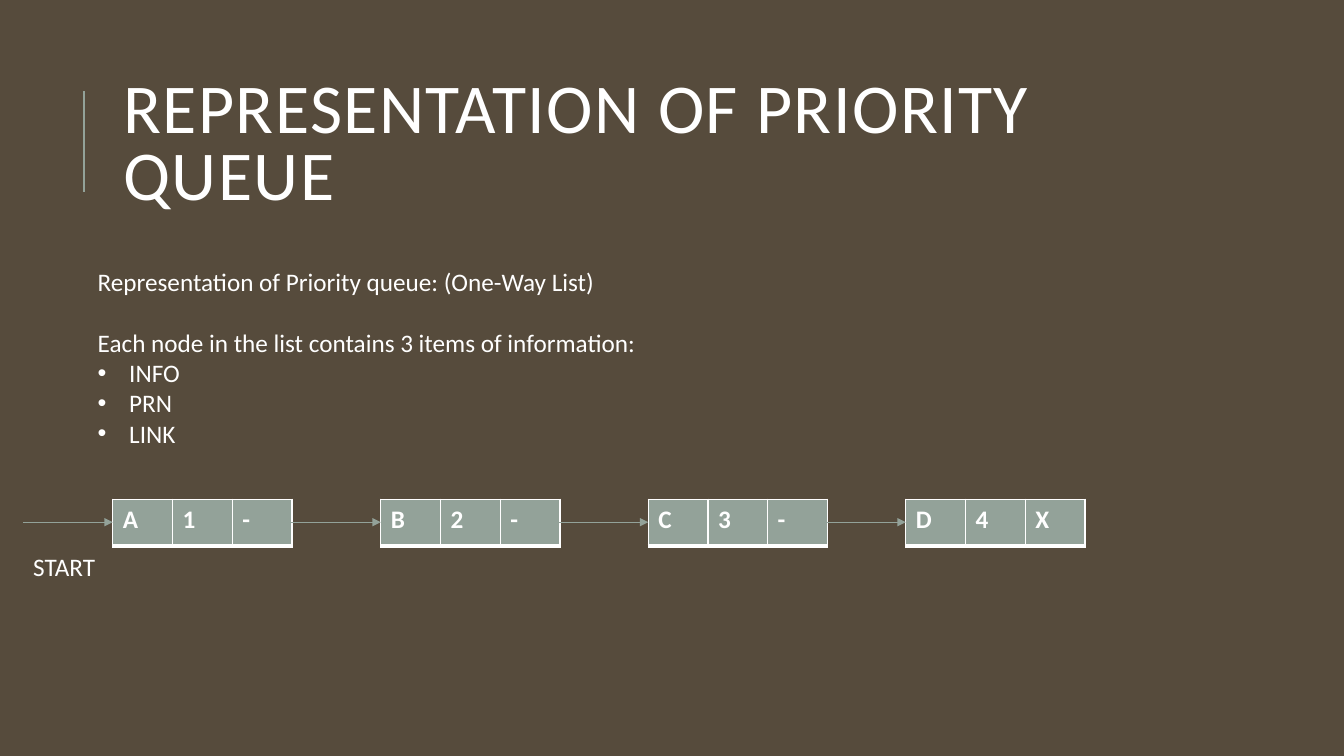
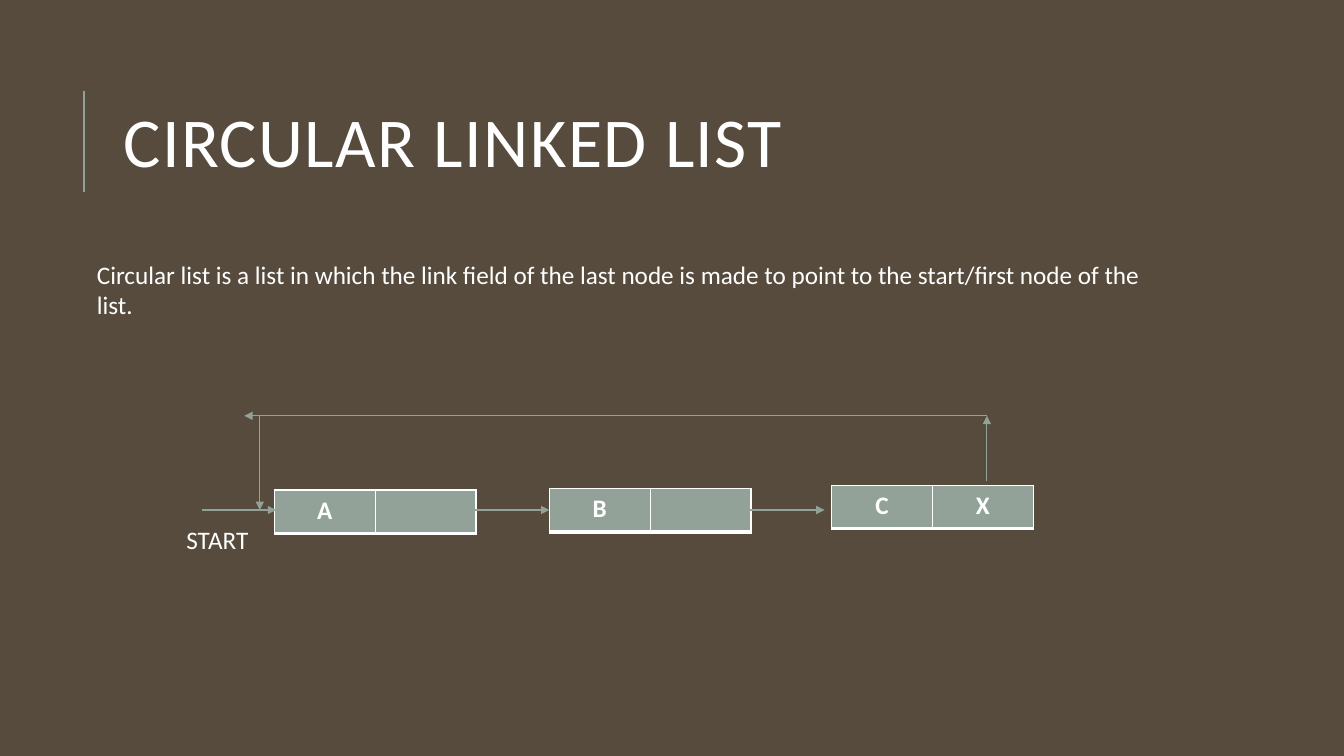
from dataclasses import dataclass

from lxml.etree import SubElement
from pptx import Presentation
from pptx.dml.color import RGBColor
from pptx.enum.shapes import MSO_CONNECTOR as Connector
from pptx.enum.text import MSO_ANCHOR as Anchor, MSO_AUTO_SIZE as AutoSize, PP_ALIGN as Align
from pptx.oxml.ns import qn
from pptx.util import Pt


@dataclass(frozen=True)
class Theme:
    background: RGBColor = RGBColor(0x56, 0x4B, 0x3C)
    accent: RGBColor = RGBColor(0x93, 0xA2, 0x99)
    text: RGBColor = RGBColor(0xFF, 0xFF, 0xFF)
    font: str = "Calibri"
    title_size: int = 50
    body_size: int = 18
    arrow_width: float = 0.75
    rule_width: float = 1.5
    cell_border: int = 1
    base_border: int = 3
    bullet_indent: float = 22.5


def apply(target, **formats):
    for name, value in formats.items():
        setattr(target, name, value)


def place(shape, left, top, width, height):
    apply(shape, left=Pt(left), top=Pt(top), width=Pt(width), height=Pt(height))


class Deck:
    def __init__(self, theme):
        self.theme = theme
        self.prs = Presentation()
        apply(self.prs, slide_width=Pt(960), slide_height=Pt(540))
        self.layout = self.prs.slide_layouts[1]
        self.slide = None
        backdrop = self.prs.slide_master.background.fill
        backdrop.solid()
        backdrop.fore_color.rgb = theme.background

    def start_slide(self, heading):
        first = self.slide is None
        self.slide = self.prs.slides.add_slide(self.layout)
        if first:
            rule = self.line((60, 137), (60, 65), self.theme.rule_width)
            self.layout.shapes.element.append(rule.element)
        title = self.slide.shapes.title
        place(title, 81, 46, 765, 118)
        apply(title.text_frame, text=heading, word_wrap=True,
              auto_size=AutoSize.NONE, vertical_anchor=Anchor.MIDDLE)
        paragraph = title.text_frame.paragraphs[0]
        apply(paragraph, alignment=Align.LEFT, line_spacing=0.8)
        run = paragraph.runs[0]
        self.style(run.font, self.theme.title_size)
        run.font._element.set("spc", "100")

    def style(self, font, size, bold=False):
        apply(font, name=self.theme.font, size=Pt(size), bold=bold)
        font.color.rgb = self.theme.text

    def body(self, box, paragraphs):
        body = self.slide.placeholders[1]
        place(body, *box)
        frame = body.text_frame
        apply(frame, word_wrap=True, auto_size=AutoSize.NONE, vertical_anchor=Anchor.TOP)
        for index, (text, bulleted, gap) in enumerate(paragraphs):
            paragraph = frame.add_paragraph() if index else frame.paragraphs[0]
            apply(paragraph, text=text, alignment=Align.LEFT, space_before=Pt(gap))
            self.style(paragraph.runs[0].font, self.theme.body_size)
            indent = Pt(self.theme.bullet_indent if bulleted else 0)
            properties = paragraph._p.get_or_add_pPr()
            properties.set("marL", str(indent))
            properties.set("indent", str(-indent))
            if bulleted:
                SubElement(properties, qn("a:buFont"), typeface="Arial")
                SubElement(properties, qn("a:buChar"), char="•")
            else:
                SubElement(properties, qn("a:buNone"))

    def label(self, text, left, top):
        box = self.slide.shapes.add_textbox(Pt(left), Pt(top), Pt(59), Pt(29))
        apply(box.text_frame, text=text, word_wrap=False)
        self.style(box.text_frame.paragraphs[0].runs[0].font, self.theme.body_size)

    def line(self, start, end, width):
        line = self.slide.shapes.add_connector(
            Connector.STRAIGHT, *(Pt(value) for value in (*start, *end)))
        line.line.width = Pt(width)
        line.line.color.rgb = self.theme.accent
        SubElement(line.element.spPr, qn("a:effectLst"))
        return line

    def arrow(self, start, end):
        arrow = self.line(start, end, self.theme.arrow_width)
        SubElement(arrow.line._get_or_add_ln(), qn("a:tailEnd"), type="triangle")

    def border(self, cell):
        properties = cell._tc.get_or_add_tcPr()
        for side in "LRTB":
            width = self.theme.base_border if side == "B" else self.theme.cell_border
            edge = SubElement(properties, qn(f"a:ln{side}"), w=str(Pt(width)))
            fill = SubElement(edge, qn("a:solidFill"))
            SubElement(fill, qn("a:srgbClr"), val=str(self.theme.text))

    def node(self, fields, box, alignment=Align.LEFT):
        table = self.slide.shapes.add_table(
            1, len(fields), *(Pt(value) for value in box)).table
        apply(table, first_row=False, horz_banding=False)
        for cell, field in zip(table.iter_cells(), fields):
            self.border(cell)
            cell.fill.solid()
            cell.fill.fore_color.rgb = self.theme.accent
            cell.text = field
            paragraph = cell.text_frame.paragraphs[0]
            paragraph.alignment = alignment
            self.style(paragraph.font, self.theme.body_size, bold=True)
            for run in paragraph.runs:
                self.style(run.font, self.theme.body_size, bold=True)


def priority_queue(deck):
    deck.start_slide("REPRESENTATION OF PRIORITY QUEUE")
    deck.body((62.6, 186.5, 857, 204), [
        ("Representation of Priority queue: (One-Way List)", False, 0),
        ("Each node in the list contains 3 items of information:", False, 22),
        ("INFO", True, 0),
        ("PRN", True, 0),
        ("LINK", True, 0),
    ])
    link_y, link_length = 373, 64
    for fields, left in (("A1-", 80.6), ("B2-", 272), ("C3-", 463), ("D4X", 647)):
        deck.node(fields, (left, 356.5, 128, 33.6))
        deck.arrow((left - link_length, link_y), (left, link_y))
    deck.label("START", 16.6, 390)


def circular_list(deck):
    deck.start_slide("CIRCULAR LINKED LIST")
    deck.body((62, 181.5, 778, 51), [
        ("Circular list is a list in which the link field of the last node "
         "is made to point to the start/first node of the list.", False, 0),
    ])
    link_y, link_length = 364.3, 53
    nodes = (
        (("A", ""), 196, 350, 197.3),
        (("B", ""), 392.4, 348.8, 392.4),
        (("C", "X"), 594, 346.5, 589),
    )
    for fields, left, top, link_end in nodes:
        deck.node(fields, (left, top, 144, 31), Align.CENTER)
        deck.arrow((link_end - link_length, link_y), (link_end, link_y))
    deck.label("START", 126, 371)
    return_y, last_x, first_x = 297, 705, 185.6
    deck.arrow((last_x, 343.5), (last_x, return_y))
    deck.arrow((last_x, return_y), (174.5, return_y))
    deck.arrow((first_x, return_y), (first_x, link_y))


def main():
    deck = Deck(Theme())
    priority_queue(deck)
    circular_list(deck)
    deck.prs.save("out.pptx")


if __name__ == "__main__":
    main()
